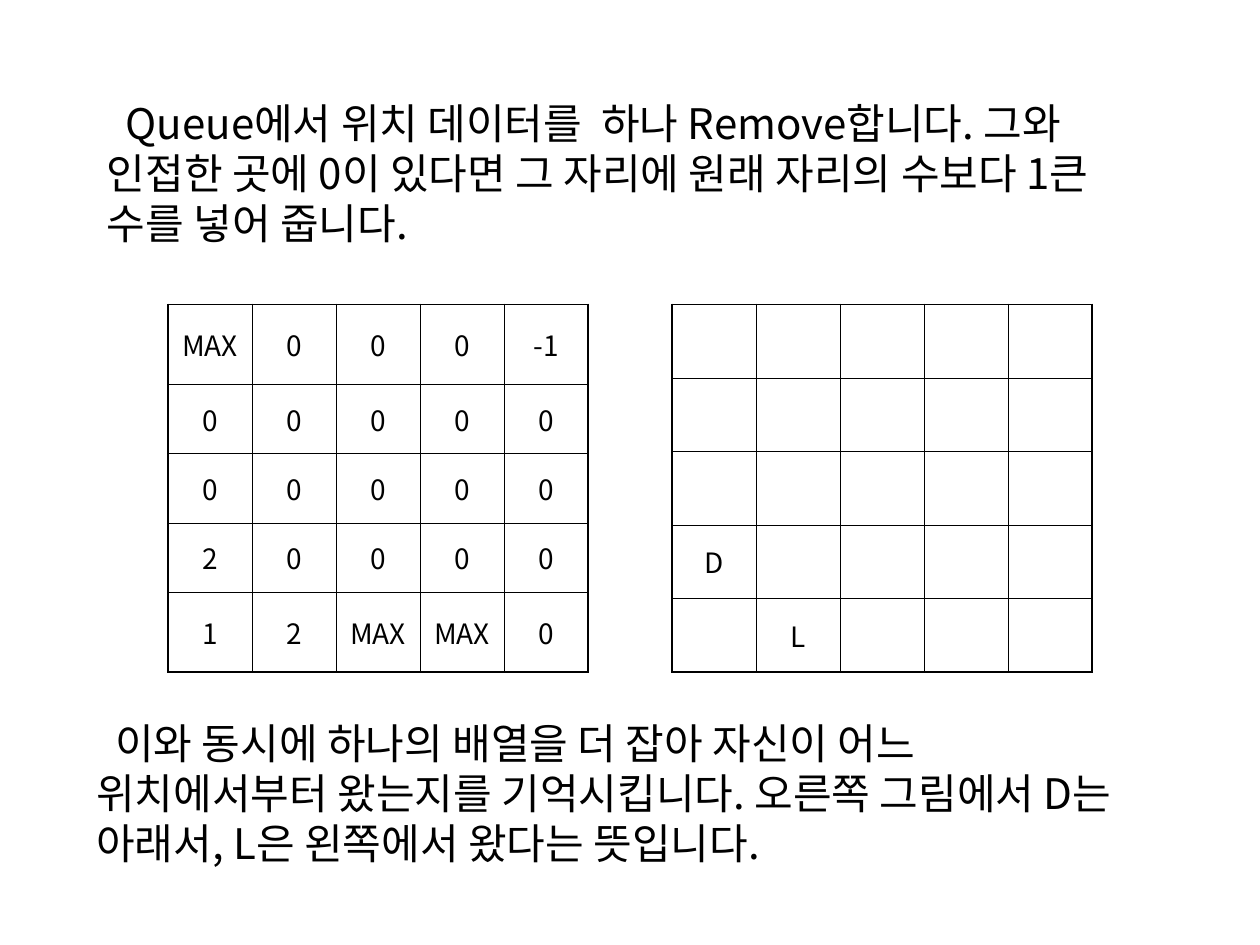
"""Queue search slide: two paragraphs around a value grid and a direction grid."""
from lxml.etree import SubElement
from pptx import Presentation
from pptx.dml.color import RGBColor
from pptx.enum.text import MSO_ANCHOR, PP_ALIGN
from pptx.oxml.ns import qn
from pptx.util import Pt

FONT = "Noto Sans CJK KR"
COLORS = {"ink": "000000", "paper": "FFFFFF"}
SIDE = 5


def style(para, size):
    for run in para.runs:
        font = run.font
        font.size = Pt(size)
        font.name = FONT
        font.color.rgb = RGBColor.from_string(COLORS["ink"])
        SubElement(run._r.get_or_add_rPr(), qn("a:ea"), typeface=FONT)


def border(cell, edge, width):
    line = SubElement(cell._tc.get_or_add_tcPr(), qn(f"a:ln{edge}"), w=str(Pt(width)))
    fill = SubElement(line, qn("a:solidFill"))
    SubElement(fill, qn("a:srgbClr"), val=COLORS["ink"])


deck = Presentation()
deck.slide_width, deck.slide_height = Pt(720), Pt(540)
slide = deck.slides.add_slide(deck.slide_layouts[6])

notes = [
    (54, 54, "Queue에서 위치 데이터를  하나 Remove합니다. 그와 인접한 곳에 0이 있다면 "
             "그 자리에 원래 자리의 수보다 1큰 수를 넣어 줍니다."),
    (48, 408, "이와 동시에 하나의 배열을 더 잡아 자신이 어느 위치에서부터 왔는지를 "
              "기억시킵니다. 오른쪽 그림에서 D는 아래서, L은 왼쪽에서 왔다는 뜻입니다."),
]
for left, top, text in notes:
    frame = slide.shapes.add_textbox(Pt(left), Pt(top), Pt(618), Pt(90)).text_frame
    frame.word_wrap = True
    frame.vertical_anchor = MSO_ANCHOR.MIDDLE
    frame.text = text
    para = frame.paragraphs[0]
    para.line_spacing = Pt(28.6)
    para._p.get_or_add_pPr().set("indent", str(Pt(10.75)))
    style(para, 24)

values = [
    ["MAX", "0", "0", "0", "-1"],
    ["0"] * SIDE,
    ["0"] * SIDE,
    ["2", "0", "0", "0", "0"],
    ["1", "2", "MAX", "MAX", "0"],
]
moves = [[""] * SIDE for _ in range(SIDE)]
moves[3][0], moves[4][1] = "D", "L"

grids = [
    (96, values, [45.6, 39.6, 39.6, 39.6, 45.6]),
    (384, moves, [42] * SIDE),
]
for left, rows, heights in grids:
    table = slide.shapes.add_table(SIDE, SIDE, Pt(left), Pt(174), Pt(240), Pt(210)).table
    table.first_row = table.horz_banding = False
    for col in table.columns:
        col.width = Pt(48)
    for r, (row, height) in enumerate(zip(rows, heights)):
        table.rows[r].height = Pt(height)
        for c, text in enumerate(row):
            cell = table.cell(r, c)
            outer = {"L": c == 0, "R": c == SIDE - 1, "T": r == 0, "B": r == SIDE - 1}
            for edge, thick in outer.items():
                border(cell, edge, 1.08 if thick else 0.45)
            cell.fill.solid()
            cell.fill.fore_color.rgb = RGBColor.from_string(COLORS["paper"])
            cell.vertical_anchor = MSO_ANCHOR.MIDDLE
            cell.text_frame.text = text
            para = cell.text_frame.paragraphs[0]
            para.alignment = PP_ALIGN.CENTER
            para.space_before = Pt(4)
            style(para, 16)

deck.save("out.pptx")
